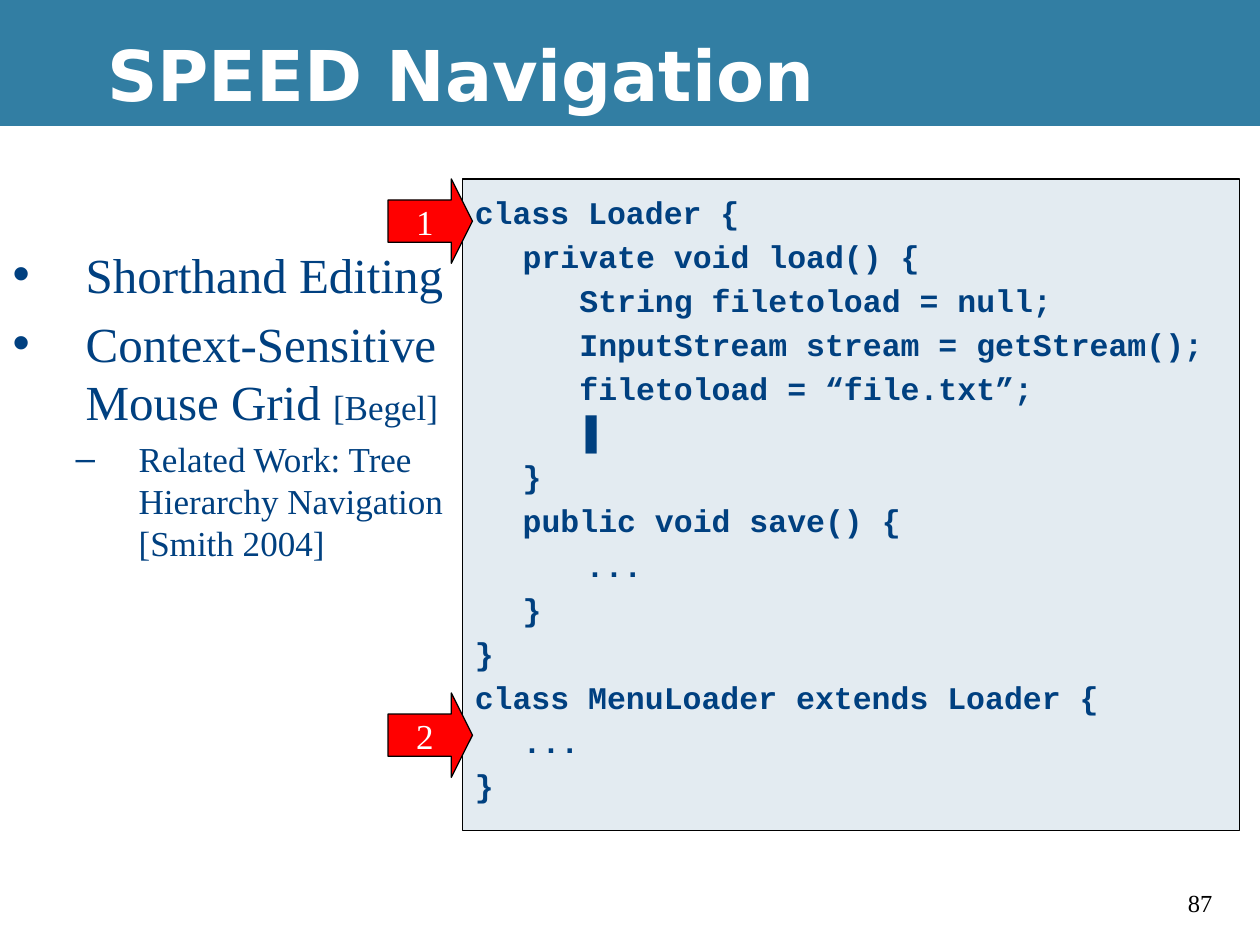
from lxml import etree
from pptx import Presentation
from pptx.dml.color import RGBColor
from pptx.enum.shapes import MSO_SHAPE
from pptx.enum.text import MSO_ANCHOR, MSO_AUTO_SIZE, PP_ALIGN
from pptx.oxml.ns import qn
from pptx.util import Inches, Pt

RECT, ARROW = MSO_SHAPE.RECTANGLE, MSO_SHAPE.RIGHT_ARROW
TOP, MIDDLE = MSO_ANCHOR.TOP, MSO_ANCHOR.MIDDLE
LEFT, CENTER = PP_ALIGN.LEFT, PP_ALIGN.CENTER
NO_FIT = MSO_AUTO_SIZE.NONE

BLACK = RGBColor(0x00, 0x00, 0x00)
WHITE = RGBColor(0xFF, 0xFF, 0xFF)
TEAL = RGBColor(0x32, 0x7E, 0xA3)
NAVY = RGBColor(0x00, 0x40, 0x80)
PALE = RGBColor(0xE3, 0xEB, 0xF1)
RED = RGBColor(0xFF, 0x00, 0x00)

SERIF, MONO, SANS, CURSOR_FONT = "Times New Roman", "Courier New", "DejaVu Sans", "Arial"
CURSOR = "▌"

# (level, [(text, size), ...])
BULLETS = [
    (0, [("Shorthand Editing", 28)]),
    (0, [("Context-Sensitive Mouse Grid ", 28), ("[Begel]", 20)]),
    (1, [("Related Work: Tree Hierarchy Navigation [Smith 2004]", 20)]),
]
# level: (bullet, left margin, first-line indent)
LEVELS = [("•", 0.58, -0.58), ("–", 1, -0.5)]

CODE = """class Loader {
\tprivate void load() {
\t   String filetoload = null;
\t   InputStream stream = getStream();
\t   filetoload = “file.txt”;
\t\t▌
\t}
\tpublic void save() {
\t\t...
\t}
}
class MenuLoader extends Loader {
\t...
}"""


class Deck:
    def __init__(self):
        self.prs = Presentation()
        self.prs.slide_width, self.prs.slide_height = Inches(10), Inches(7.5)
        self.s = self.prs.slides.add_slide(self.prs.slide_layouts[1])

    def place(self, sp, x, y, w, h):
        sp.left, sp.top, sp.width, sp.height = map(Inches, (x, y, w, h))

    def run(self, p, text, font, size, color, bold=False):
        r = p.add_run()
        r.text = text
        r.font.name, r.font.size, r.font.bold = font, Pt(size), bold
        r.font.color.rgb = color

    def layout(self, p, margin, indent, first, bullet=None):
        """Set hanging indent, 20% space before (none on the first) and bullet."""
        pPr = p._p.get_or_add_pPr()
        pPr.set("marL", str(Inches(margin)))
        pPr.set("indent", str(Inches(indent)))
        before = etree.SubElement(pPr, qn("a:spcBef"))
        etree.SubElement(before, qn("a:spcPct")).set("val", "0" if first else "20000")
        if bullet:
            etree.SubElement(pPr, qn("a:buChar")).set("char", bullet)

    def shape(self, kind, x, y, w, h, fill, line=None):
        sp = self.s.shapes.add_shape(kind, *map(Inches, (x, y, w, h)))
        sp.shadow.inherit = False
        sp.fill.solid()
        sp.fill.fore_color.rgb = fill
        if line is None:
            sp.line.fill.background()
        else:
            sp.line.color.rgb, sp.line.width = line, Pt(0.75)
        return sp

    def band(self):
        sp = self.shape(RECT, 0, 0, 10, 1, TEAL)
        self.s.shapes._spTree.insert(2, sp._element)

    def title(self, text):
        sp = self.s.shapes.title
        self.place(sp, 0.75, 0.08, 9.25, 1)
        tf = sp.text_frame
        tf.auto_size, tf.vertical_anchor = NO_FIT, MIDDLE
        p = tf.paragraphs[0]
        p.alignment = LEFT
        self.run(p, text, SANS, 40, WHITE, True)

    def bullets(self, items):
        sp = self.s.placeholders[1]
        self.place(sp, 0, 1.83, 3.83, 4.83)
        tf = sp.text_frame
        tf.auto_size, tf.margin_top = NO_FIT, Inches(0.11)
        for i, (level, runs) in enumerate(items):
            p = tf.add_paragraph() if i else tf.paragraphs[0]
            p.level = level
            bullet, margin, indent = LEVELS[level]
            self.layout(p, margin, indent, i == 0, bullet)
            for text, size in runs:
                self.run(p, text, SERIF, size, NAVY)

    def code(self, text):
        tf = self.shape(RECT, 3.67, 1.42, 6.17, 5.17, PALE, BLACK).text_frame
        tf.vertical_anchor, tf.margin_top = TOP, Inches(0.11)
        for i, line in enumerate(text.split("\n")):
            p = tf.add_paragraph() if i else tf.paragraphs[0]
            p.alignment = LEFT
            self.layout(p, 0.38, -0.38, i == 0)
            before, cursor, _ = line.partition(CURSOR)
            self.run(p, before, MONO, 18, NAVY, True)
            if cursor:
                self.run(p, cursor, CURSOR_FONT, 18, NAVY, True)

    def arrow(self, y, text):
        sp = self.shape(ARROW, 3.08, y, 0.67, 0.67, RED, BLACK)
        sp.adjustments[0], sp.adjustments[1] = 0.5, 0.25
        tf = sp.text_frame
        tf.word_wrap, tf.vertical_anchor = False, MIDDLE
        p = tf.paragraphs[0]
        p.alignment = CENTER
        self.run(p, text, SERIF, 20, WHITE)

    def page_number(self, text):
        tf = self.s.shapes.add_textbox(*map(Inches, (9.33, 7, 0.5, 0.33))).text_frame
        tf.word_wrap = True
        self.run(tf.paragraphs[0], text, SERIF, 14, BLACK)


def main():
    deck = Deck()
    deck.band()
    deck.page_number("87")
    deck.title("SPEED Navigation")
    deck.bullets(BULLETS)
    deck.code(CODE)
    deck.arrow(1.42, "1")
    deck.arrow(5.5, "2")
    deck.prs.save("out.pptx")


if __name__ == "__main__":
    main()
